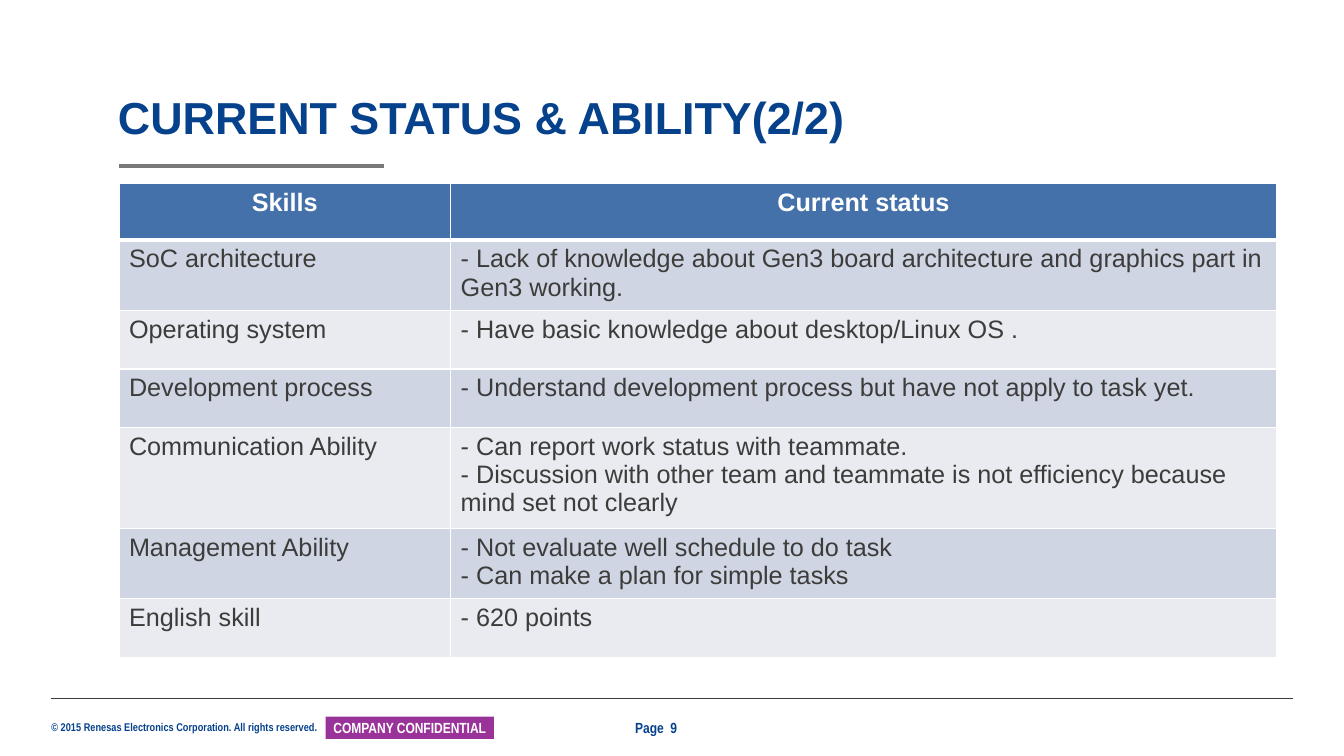
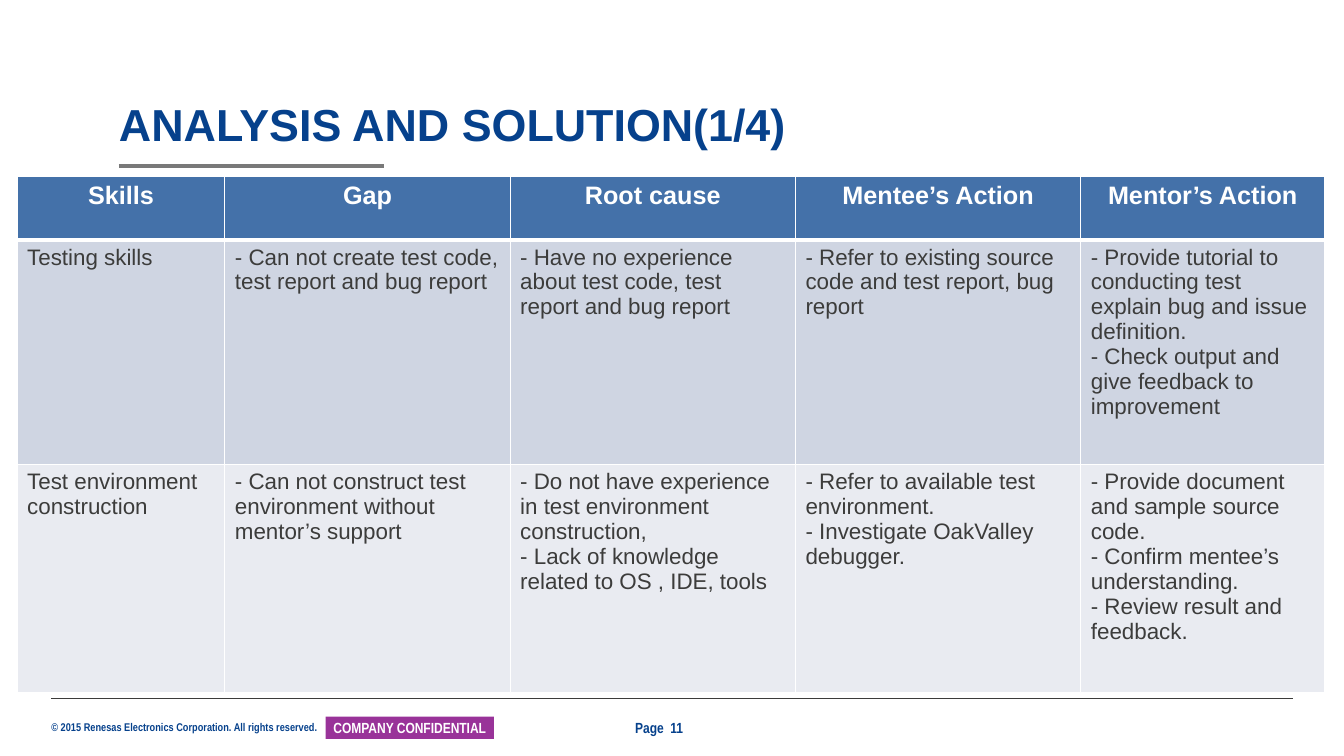
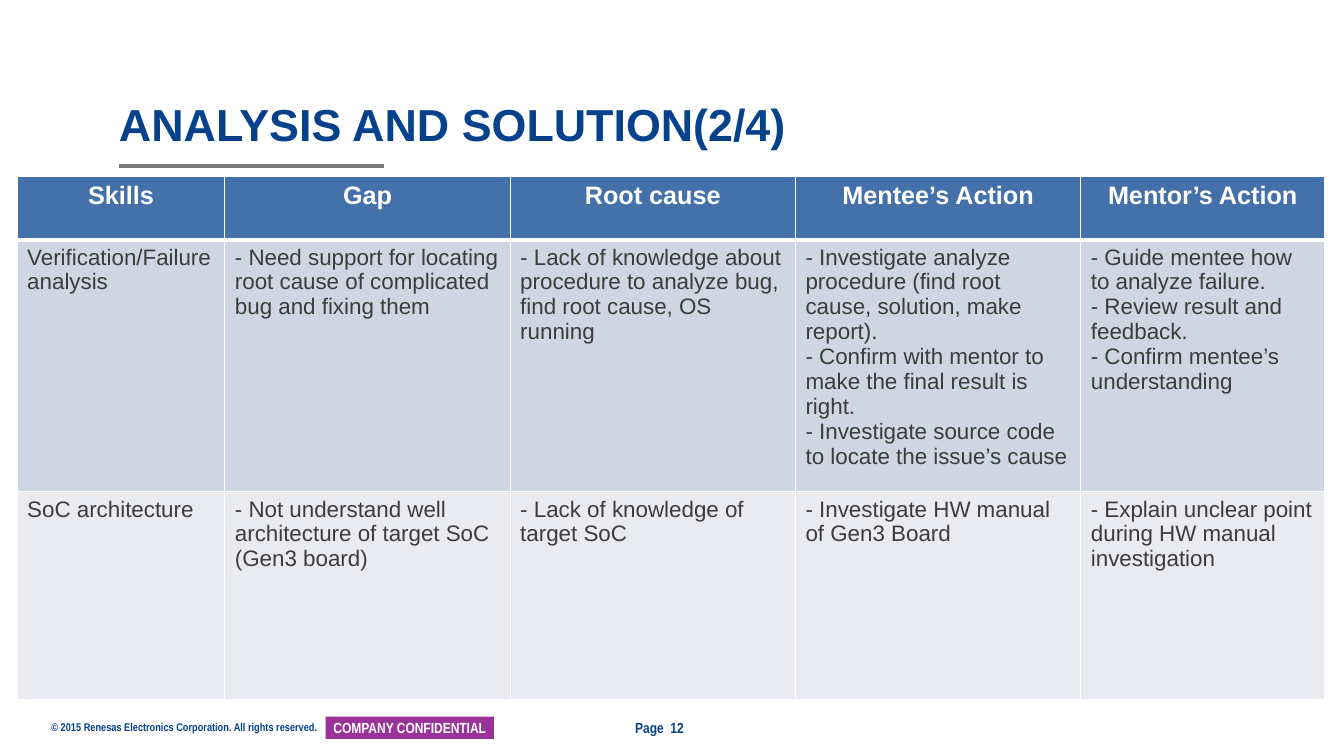
import pptx
import pptx.dml.color
import pptx.enum.shapes
import pptx.enum.text
import pptx.oxml
import pptx.oxml.ns
import pptx.util

Inches = pptx.util.Inches
Pt = pptx.util.Pt
ALIGN = pptx.enum.text.PP_ALIGN
ANCHOR = pptx.enum.text.MSO_ANCHOR

COLORS = {
    "navy": "06418C",
    "purple": "993399",
    "gray": "797979",
    "ink": "3C3C3B",
    "white": "FFFFFF",
    "header": "4471A9",
    "odd_row": "CFD5E2",
    "even_row": "E9EBF1",
}


def rgb(name):
    return pptx.dml.color.RGBColor.from_string(COLORS[name])


def write(frame, text, size=18, font="Arial", color="ink", bold=False,
          align=ALIGN.LEFT, anchor=ANCHOR.TOP, insets=None, wrap=True,
          spacing=None):
    """Fill a text frame; each line of text becomes a paragraph."""
    frame.text = text
    frame.word_wrap = wrap
    frame.vertical_anchor = anchor
    if insets is not None:
        frame.margin_left = frame.margin_right = Inches(insets[0])
        frame.margin_top = frame.margin_bottom = Inches(insets[1])
    for paragraph in frame.paragraphs:
        paragraph.alignment = align
        if spacing:
            paragraph.line_spacing = spacing
        for run in paragraph.runs:
            run.font.size = Pt(size)
            run.font.name = font
            run.font.bold = bold
            run.font.color.rgb = rgb(color)


def set_borders(cell, top, bottom):
    """White cell borders; to be called before the cell is filled."""
    properties = cell._tc.get_or_add_tcPr()
    for side, width in (("L", 1), ("R", 1), ("T", top), ("B", bottom)):
        properties.append(pptx.oxml.parse_xml(
            f'<a:ln{side} {pptx.oxml.ns.nsdecls("a")} w="{Pt(width)}">'
            f'<a:solidFill><a:srgbClr val="{COLORS["white"]}"/></a:solidFill>'
            f'</a:ln{side}>'))


class Deck:
    FOOTER = dict(font="Arial Narrow", size=10.5, bold=True, color="navy",
                  anchor=ANCHOR.MIDDLE, insets=(0, 0))

    def __init__(self):
        self.presentation = pptx.Presentation()
        self.presentation.slide_width = Inches(13.33)
        self.presentation.slide_height = Inches(7.5)
        self.slide = None

    def new_slide(self, title, page, title_at=(1.18, 1.02)):
        layout = self.presentation.slide_layouts[5]
        self.slide = self.presentation.slides.add_slide(layout)
        self.title(title, *title_at)
        self.rule(1.18, 3.81, 1.65, "gray", 3)
        self.footer(page)

    def title(self, text, left, top):
        heading = self.slide.shapes.title
        heading.left, heading.top = Inches(left), Inches(top)
        heading.width, heading.height = Inches(9.84), Inches(0.48)
        write(heading.text_frame, text, size=32, color="navy", bold=True,
              anchor=ANCHOR.BOTTOM, insets=(0, 0), spacing=0.9)
        heading.text_frame.auto_size = pptx.enum.text.MSO_AUTO_SIZE.NONE

    def rule(self, start, end, y, color, width):
        line = self.slide.shapes.add_connector(
            pptx.enum.shapes.MSO_CONNECTOR.STRAIGHT,
            Inches(start), Inches(y), Inches(end), Inches(y))
        line.line.color.rgb = rgb(color)
        line.line.width = Pt(width)
        line._element.spPr.append(pptx.oxml.parse_xml(
            f'<a:effectLst {pptx.oxml.ns.nsdecls("a")}/>'))

    def label(self, text, at, **style):
        box = self.slide.shapes.add_textbox(*map(Inches, at))
        write(box.text_frame, text, **{**self.FOOTER, **style})

    def badge(self, text, at, fill):
        badge = self.slide.shapes.add_shape(
            pptx.enum.shapes.MSO_SHAPE.RECTANGLE, *map(Inches, at))
        badge.shadow.inherit = False
        badge.fill.solid()
        badge.fill.fore_color.rgb = rgb(fill)
        badge.line.fill.background()
        write(badge.text_frame, text, **{
            **self.FOOTER, "color": "white", "align": ALIGN.CENTER,
            "insets": (0.04, 0), "wrap": False})

    def footer(self, page):
        self.rule(0.51, 12.82, 6.93, "ink", 0.5)
        self.label("© 2015 Renesas Electronics Corporation. All rights reserved.",
                   (0.51, 7.15, 2.68, 0.13), size=8, anchor=ANCHOR.TOP,
                   wrap=False)
        self.badge("COMPANY CONFIDENTIAL", (3.23, 7.11, 1.67, 0.22), "purple")
        self.label(f"Page  {page}", (6.3, 7.13, 0.73, 0.18))

    def table(self, rows, left, top, widths, heights, size):
        grid = self.slide.shapes.add_table(
            len(rows), len(widths), Inches(left), Inches(top),
            Inches(sum(widths)), Inches(sum(heights))).table
        grid.horz_banding = False
        for column, width in zip(grid.columns, widths):
            column.width = Inches(width)
        for row, height in zip(grid.rows, heights):
            row.height = Inches(height)
        for r, texts in enumerate(rows):
            for c, text in enumerate(texts):
                cell = grid.cell(r, c)
                # The line below the header is thicker
                set_borders(cell, top=3 if r == 1 else 1,
                            bottom=3 if r == 0 else 1)
                cell.fill.solid()
                if r == 0:
                    fill = "header"
                    style = dict(color="white", bold=True, align=ALIGN.CENTER)
                else:
                    fill = "odd_row" if r % 2 else "even_row"
                    style = dict(size=size)
                cell.fill.fore_color.rgb = rgb(fill)
                write(cell.text_frame, text, **style)

    def action_table(self, rows, heights):
        header = ("Skills", "Gap", "Root cause", "Mentee’s Action",
                  "Mentor’s Action")
        self.table([header, *rows], 0.17, 1.75,
                   widths=[2.06, 2.83, 2.83, 2.83, 2.42],
                   heights=[0.63, *heights], size=16)


STATUS = [
    ("Skills", "Current status"),
    ("SoC architecture",
     "- Lack of knowledge about Gen3 board architecture and graphics part in "
     "Gen3 working."),
    ("Operating system", "- Have basic knowledge about desktop/Linux OS ."),
    ("Development process",
     "- Understand development process but have not apply to task yet."),
    ("Communication Ability",
     "- Can report work status with teammate.\n"
     "- Discussion with other team and teammate is not efficiency because "
     "mind set not clearly"),
    ("Management Ability",
     "- Not evaluate well schedule to do task\n"
     "- Can make a plan for simple tasks"),
    ("English skill", "- 620 points"),
]

TESTING_ACTIONS = [
    ("Testing skills",
     "- Can not create test code, test report and bug report",
     "- Have no experience about test code, test report and bug report",
     "- Refer to existing source code and test report, bug report",
     "- Provide tutorial to conducting test explain bug and issue definition.\n"
     "- Check output and give feedback to improvement"),
    ("Test environment construction",
     "- Can not construct test environment without mentor’s support",
     "- Do not have experience in test environment construction,\n"
     "- Lack of knowledge related to OS , IDE, tools",
     "- Refer to available test environment.\n"
     "- Investigate OakValley debugger.",
     "- Provide document and sample source code.\n"
     "- Confirm mentee’s understanding.\n"
     "- Review result and feedback."),
]

ANALYSIS_ACTIONS = [
    ("Verification/Failure analysis",
     "- Need support for locating root cause of complicated bug and fixing them",
     "- Lack of knowledge about procedure to analyze bug, find root cause, "
     "OS running",
     "- Investigate analyze procedure (find root cause, solution, make report).\n"
     "- Confirm with mentor to make the final result is right.\n"
     "- Investigate source code to locate the issue’s cause",
     "- Guide mentee how to analyze failure.\n"
     "- Review result and feedback.\n"
     "- Confirm mentee’s understanding"),
    ("SoC architecture",
     "- Not understand well architecture of target SoC (Gen3 board)",
     "- Lack of knowledge of target SoC",
     "- Investigate HW manual of Gen3 Board",
     "- Explain unclear point during HW manual investigation"),
]


def main():
    deck = Deck()

    # Current status
    deck.new_slide("CURRENT STATUS & ABILITY(2/2)", 9, title_at=(1.17, 0.95))
    deck.table(STATUS, 1.18, 1.82, widths=[3.29, 8.19],
               heights=[0.56, 0.67, 0.58, 0.58, 0.98, 0.67, 0.58], size=18)

    # Analysis and solution
    deck.new_slide("ANALYSIS AND SOLUTION(1/4)", 11)
    deck.action_table(TESTING_ACTIONS, heights=[2.23, 2.26])

    # The first row holds nine lines; the table ends above the footer line
    deck.new_slide("ANALYSIS AND SOLUTION(2/4)", 12)
    deck.action_table(ANALYSIS_ACTIONS, heights=[2.35, 2.06])

    deck.presentation.save("out.pptx")


if __name__ == "__main__":
    main()
